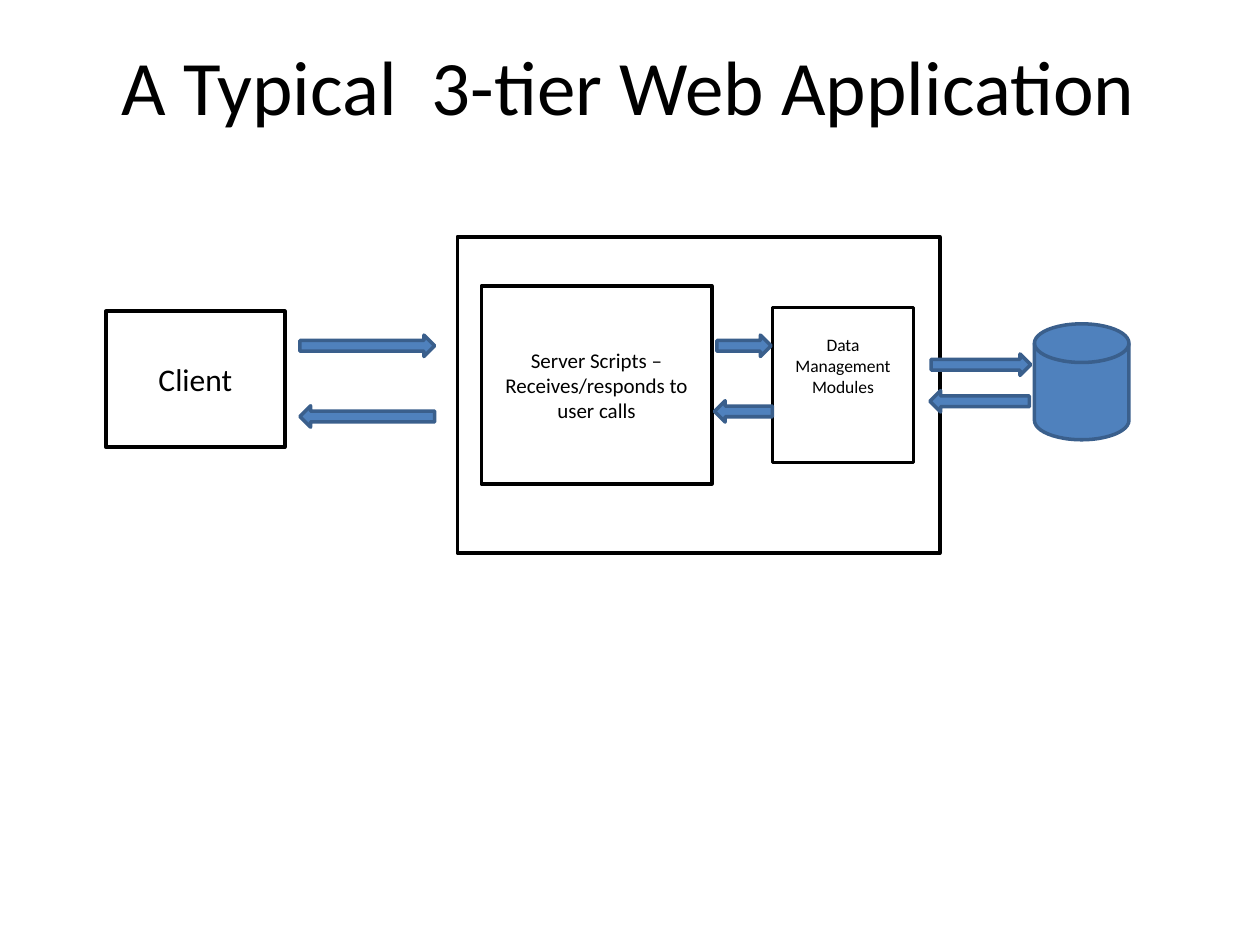
from pptx import Presentation
from pptx.dml.color import RGBColor
from pptx.enum.shapes import MSO_SHAPE
from pptx.enum.text import MSO_ANCHOR, PP_ALIGN
from pptx.util import Inches, Pt

THEME = {
    "font": "Calibri",
    "ink": RGBColor.from_string("000000"),
    "blue": RGBColor.from_string("4F81BD"),
    "blue_edge": RGBColor.from_string("3A5F8C"),
    "line": Pt(2),
    "title": Pt(44),
    "client": Pt(18),
    "scripts": Pt(12),
    "modules": Pt(10),
}

presentation = Presentation()
presentation.slide_width = Inches(10)
presentation.slide_height = Inches(7.5)
slide = presentation.slides.add_slide(presentation.slide_layouts[6])

# Grid of 100 columns by 75 rows
COLUMN = presentation.slide_width / 100
ROW = presentation.slide_height / 75


def add_block(kind, left, top, width, height, fill=None, edge=THEME["ink"]):
    shape = slide.shapes.add_shape(
        kind, round(left * COLUMN), round(top * ROW),
        round(width * COLUMN), round(height * ROW))
    shape.shadow.inherit = False
    if fill is None:
        shape.fill.background()
    else:
        shape.fill.solid()
        shape.fill.fore_color.rgb = fill
    shape.line.color.rgb = edge
    shape.line.width = THEME["line"]
    return shape


def write_text(shape, text, size, bottom_rows=0.5):
    frame = shape.text_frame
    frame_format = {
        "word_wrap": True,
        "vertical_anchor": MSO_ANCHOR.MIDDLE,
        "margin_bottom": round(bottom_rows * ROW),
    }
    for name, value in frame_format.items():
        setattr(frame, name, value)
    paragraph = frame.paragraphs[0]
    paragraph.alignment = PP_ALIGN.CENTER
    run = paragraph.add_run()
    run.text = text
    for name, value in {"name": THEME["font"], "size": size}.items():
        setattr(run.font, name, value)
    run.font.color.rgb = THEME["ink"]


# Title
title = slide.shapes.add_textbox(
    round(4.9 * COLUMN), round(1.7 * ROW), 90 * round(COLUMN), 10 * round(ROW))
write_text(title, "A Typical  3-tier Web Application", THEME["title"])

# Tiers: the frame around the server comes before its two inner boxes
# The modules text is lifted by a deep bottom margin
tiers = [
    (8.4, 24.7, 14.2, 10.8, "Client", "client", 0.5),
    (36.3, 18.8, 38.3, 25.1, None, None, None),
    (38.2, 22.7, 18.3, 15.7,
     "Server Scripts – Receives/responds to user calls", "scripts", 0.5),
    (61.3, 24.4, 11.2, 12.3, "Data Management Modules", "modules", 3.5),
]
for left, top, width, height, text, size, bottom_rows in tiers:
    box = add_block(MSO_SHAPE.RECTANGLE, left, top, width, height)
    if text:
        write_text(box, text, THEME[size], bottom_rows)

# Database
add_block(MSO_SHAPE.FLOWCHART_MAGNETIC_DISK, 82.1, 25.7, 7.5, 9.2,
          THEME["blue"], THEME["blue_edge"])

# Requests point right, responses are turned round
ARROW_ROWS = 1.7
arrows = [
    (23.8, 26.6, 10.7, 0),
    (73.9, 28.1, 7.9, 0),
    (56.9, 26.6, 4.3, 0),
    (56.7, 31.8, 4.6, 180),
    (23.8, 32.2, 10.7, 180),
    (73.8, 31, 7.9, 180),
]
for left, top, width, rotation in arrows:
    arrow = add_block(MSO_SHAPE.RIGHT_ARROW, left, top, width, ARROW_ROWS,
                      THEME["blue"], THEME["blue_edge"])
    arrow.rotation = rotation

presentation.save("out.pptx")
